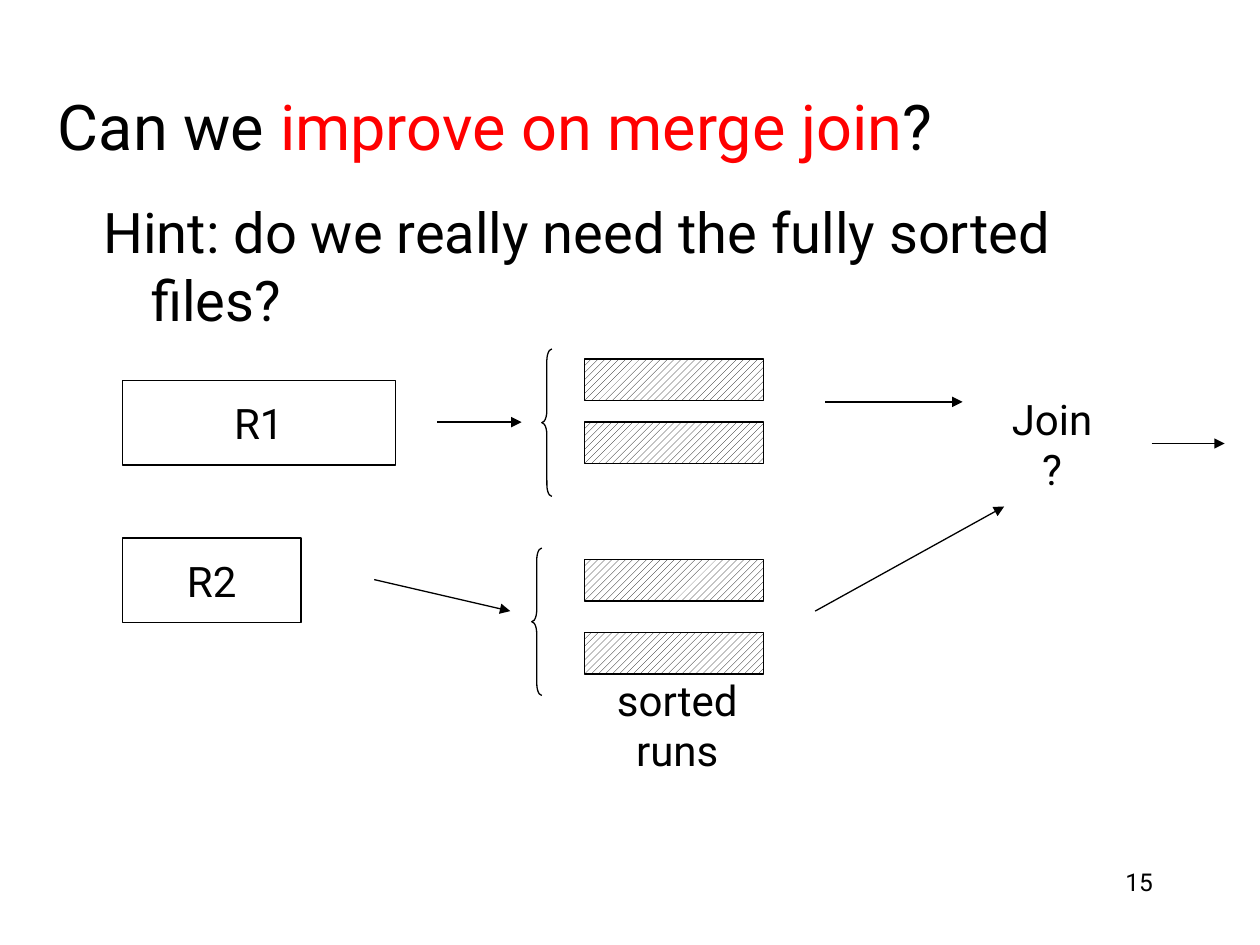
from lxml import etree
from pptx import Presentation
from pptx.dml.color import RGBColor
from pptx.enum.dml import MSO_PATTERN
from pptx.enum.shapes import MSO_CONNECTOR, MSO_SHAPE
from pptx.enum.text import MSO_ANCHOR, MSO_AUTO_SIZE, PP_ALIGN
from pptx.oxml.ns import qn
from pptx.util import Inches, Pt

FONT = "Roboto"
BLACK, WHITE, RED = "000000", "FFFFFF", "FF0000"
LINE_WIDTH = Pt(0.75)
LEFT, CENTER, RIGHT = PP_ALIGN.LEFT, PP_ALIGN.CENTER, PP_ALIGN.RIGHT
TOP, MIDDLE = MSO_ANCHOR.TOP, MSO_ANCHOR.MIDDLE
NO_AUTOFIT = MSO_AUTO_SIZE.NONE
HATCH = MSO_PATTERN.WIDE_UPWARD_DIAGONAL
RECTANGLE, LEFT_BRACE = MSO_SHAPE.RECTANGLE, MSO_SHAPE.LEFT_BRACE
STRAIGHT = MSO_CONNECTOR.STRAIGHT

RUN_LEFT, RUN_WIDTH, RUN_HEIGHT = 4.64, 1.42, 0.33
RELATION_LEFT, RELATION_HEIGHT = 0.97, 0.67


def color(hex_value):
    return RGBColor.from_string(hex_value)


def write(holder, *parts, size=24, align=CENTER, anchor=MIDDLE, wrap=True, hanging=0):
    """Fill a holder with one paragraph; each part is a text or a (text, color) pair."""
    frame = holder.text_frame
    frame.word_wrap = wrap
    frame.auto_size = NO_AUTOFIT
    frame.vertical_anchor = anchor
    paragraph = frame.paragraphs[0]
    paragraph.alignment = align
    paragraph.space_before = Pt(0)
    if hanging:
        properties = paragraph._p.get_or_add_pPr()
        properties.set("marL", str(Inches(hanging)))
        properties.set("indent", str(-Inches(hanging)))
        etree.SubElement(properties, qn("a:buNone"))
    for part in parts:
        text, hex_value = (part, BLACK) if isinstance(part, str) else part
        run = paragraph.add_run()
        run.text = text
        run.font.name = FONT
        run.font.size = Pt(size)
        run.font.color.rgb = color(hex_value)


def place(placeholder, left, top, width, height):
    placeholder.left, placeholder.top = Inches(left), Inches(top)
    placeholder.width, placeholder.height = Inches(width), Inches(height)


def add_label(slide, text, left, top, width, height, margin=0.1, **text_format):
    label = slide.shapes.add_textbox(*map(Inches, (left, top, width, height)))
    label.text_frame.margin_left = label.text_frame.margin_right = Inches(margin)
    write(label, text, **text_format)


def add_outlined(slide, preset, left, top, width, height):
    shape = slide.shapes.add_shape(preset, *map(Inches, (left, top, width, height)))
    shape.shadow.inherit = False
    shape.line.color.rgb = color(BLACK)
    shape.line.width = LINE_WIDTH
    return shape


def add_relation(slide, name, top, width):
    relation = add_outlined(slide, RECTANGLE, RELATION_LEFT, top, width, RELATION_HEIGHT)
    relation.fill.solid()
    relation.fill.fore_color.rgb = color(WHITE)
    write(relation, name, wrap=False)


def add_sorted_run(slide, top):
    sorted_run = add_outlined(slide, RECTANGLE, RUN_LEFT, top, RUN_WIDTH, RUN_HEIGHT)
    sorted_run.fill.patterned()
    sorted_run.fill.pattern = HATCH
    sorted_run.fill.fore_color.rgb = color(BLACK)
    sorted_run.fill.back_color.rgb = color(WHITE)


def add_brace(slide, left, top):
    brace = add_outlined(slide, LEFT_BRACE, left, top, 0.08, 1.17)
    brace.fill.background()
    brace.adjustments[0] = 1.17


def add_arrow(slide, start, end):
    arrow = slide.shapes.add_connector(STRAIGHT, *map(Inches, start + end))
    arrow.line.color.rgb = color(BLACK)
    arrow.line.width = LINE_WIDTH
    etree.SubElement(arrow.line._get_or_add_ln(), qn("a:tailEnd"), type="triangle")
    etree.SubElement(arrow._element.spPr, qn("a:effectLst"))


def main():
    presentation = Presentation()
    presentation.slide_width, presentation.slide_height = Inches(10), Inches(7.5)
    slide = presentation.slides.add_slide(presentation.slide_layouts[1])

    title, hint = slide.placeholders
    place(title, 0.36, 0.37, 8.5, 1.25)
    write(title, "Can we ", ("improve on merge join", RED), "?", size=36, align=LEFT)
    place(hint, 0.72, 1.52, 8.5, 4.5)
    write(hint, "Hint: do we really need the fully sorted files?",
          size=32, align=LEFT, anchor=TOP, hanging=0.38)

    add_relation(slide, "R1", 3.02, 2.17)
    add_relation(slide, "R2", 4.27, 1.42)
    for top in (2.85, 3.35, 4.44, 5.02):
        add_sorted_run(slide, top)
    add_brace(slide, 4.3, 2.77)
    add_brace(slide, 4.22, 4.35)

    for start, end in (
        ((3.47, 3.35), (4.14, 3.35)),
        ((2.97, 4.6), (4.05, 4.85)),
        ((6.55, 3.19), (7.64, 3.19)),
        ((6.47, 4.85), (7.97, 4.02)),
        ((9.14, 3.52), (9.72, 3.52)),
    ):
        add_arrow(slide, start, end)

    add_label(slide, "Join?", 7.88, 3.27, 0.94, 0.5)
    add_label(slide, "sorted runs", 4.44, 5.5, 1.87, 0.5, margin=0.2)
    add_label(slide, "15", 7.17, 6.83, 2.08, 0.5, size=14, align=RIGHT, anchor=TOP)
    presentation.save("out.pptx")


if __name__ == "__main__":
    main()
